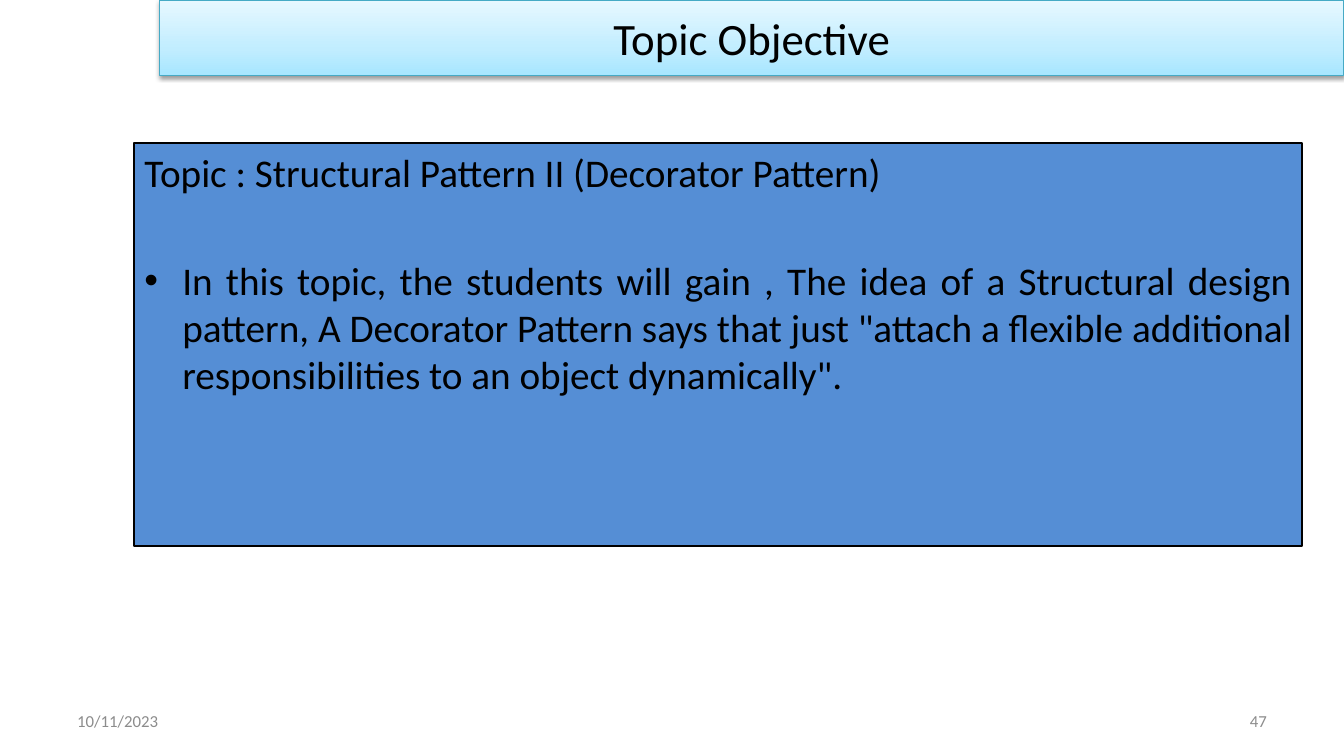
from pptx import Presentation
from pptx.dml.color import RGBColor as RGB
from pptx.enum.text import MSO_ANCHOR as Anchor, MSO_AUTO_SIZE as Auto, PP_ALIGN as Align
from pptx.oxml import parse_xml
from pptx.oxml.ns import nsdecls
from pptx.util import Pt

COLORS = {"ink": "000000", "gray": "8C8C8C", "panel": "558ED5", "edge": "46AAC5",
          "deep": "A7E6FF", "mid": "C1EDFF", "pale": "E7F8FF"}


def place(shape, left, top, width, height):
    box = {"left": left, "top": top, "width": width, "height": height}
    for name, value in box.items():
        setattr(shape, name, Pt(value))


def write(para, text, size, color, align):
    para.text = text
    para.alignment = align
    para.line_spacing = 1.0
    for name, value in {"name": "Calibri", "size": Pt(size)}.items():
        setattr(para.font, name, value)
    para.font.color.rgb = RGB.from_string(COLORS[color])


deck = Presentation()
deck.slide_width, deck.slide_height = Pt(960), Pt(540)
slide = deck.slides.add_slide(deck.slide_layouts[1])
title, body = slide.shapes.title, slide.placeholders[1]

# Title bar with gradient and soft shadow
place(title, 114, 0, 846, 54)
stops = "".join(
    f'<a:gs pos="{pos * 1000}"><a:srgbClr val="{COLORS[key]}"/></a:gs>'
    for pos, key in ((0, "deep"), (35, "mid"), (100, "pale")))
props = title.element.spPr
props.append(parse_xml(
    f'<a:gradFill {nsdecls("a")} rotWithShape="1"><a:gsLst>{stops}</a:gsLst>'
    '<a:lin ang="16200000" scaled="1"/></a:gradFill>'))
title.line.color.rgb = RGB.from_string(COLORS["edge"])
title.line.width = Pt(0.75)
props.append(parse_xml(
    f'<a:effectLst {nsdecls("a")}><a:outerShdw blurRad="{Pt(3.1)}" dist="{Pt(1.6)}" '
    f'dir="5400000" rotWithShape="0"><a:srgbClr val="{COLORS["ink"]}">'
    '<a:alpha val="38000"/></a:srgbClr></a:outerShdw></a:effectLst>'))
title.text_frame.auto_size = Auto.NONE
title.text_frame.vertical_anchor = Anchor.MIDDLE
write(title.text_frame.paragraphs[0], "Topic Objective", 32, "ink", Align.CENTER)

# Topic panel
place(body, 96, 102, 834, 288)
body.fill.solid()
body.fill.fore_color.rgb = RGB.from_string(COLORS["panel"])
body.line.color.rgb = RGB.from_string(COLORS["ink"])
body.line.width = Pt(1.5)
frame = body.text_frame
frame.auto_size = Auto.NONE
topic, goal = frame.paragraphs[0], frame.add_paragraph()
rows = (
    (topic, 0, 0, "<a:buNone {}/>", "Topic : Structural Pattern II (Decorator Pattern)"),
    (goal, 27, 44, '<a:buChar {} char="•"/>',
     "In this topic, the students will gain , The idea of a Structural design pattern, "
     'A Decorator Pattern says that just "attach a flexible additional responsibilities '
     'to an object dynamically".'),
)
for para, indent, gap, bullet, text in rows:
    format = para._p.get_or_add_pPr()
    format.set("marL", str(Pt(indent)))
    format.set("indent", str(Pt(-indent)))
    format.append(parse_xml(bullet.format(nsdecls("a"))))
    write(para, text, 28, "ink", Align.JUSTIFY)
    para.space_before = Pt(gap)

# Date and page number
for left, text, align in ((48, "10/11/2023", Align.LEFT), (688, "47", Align.RIGHT)):
    note = slide.shapes.add_textbox(Pt(left), Pt(500.5), Pt(224), Pt(28.75))
    note.text_frame.word_wrap = True
    note.text_frame.vertical_anchor = Anchor.MIDDLE
    write(note.text_frame.paragraphs[0], text, 12, "gray", align)

deck.save("out.pptx")
